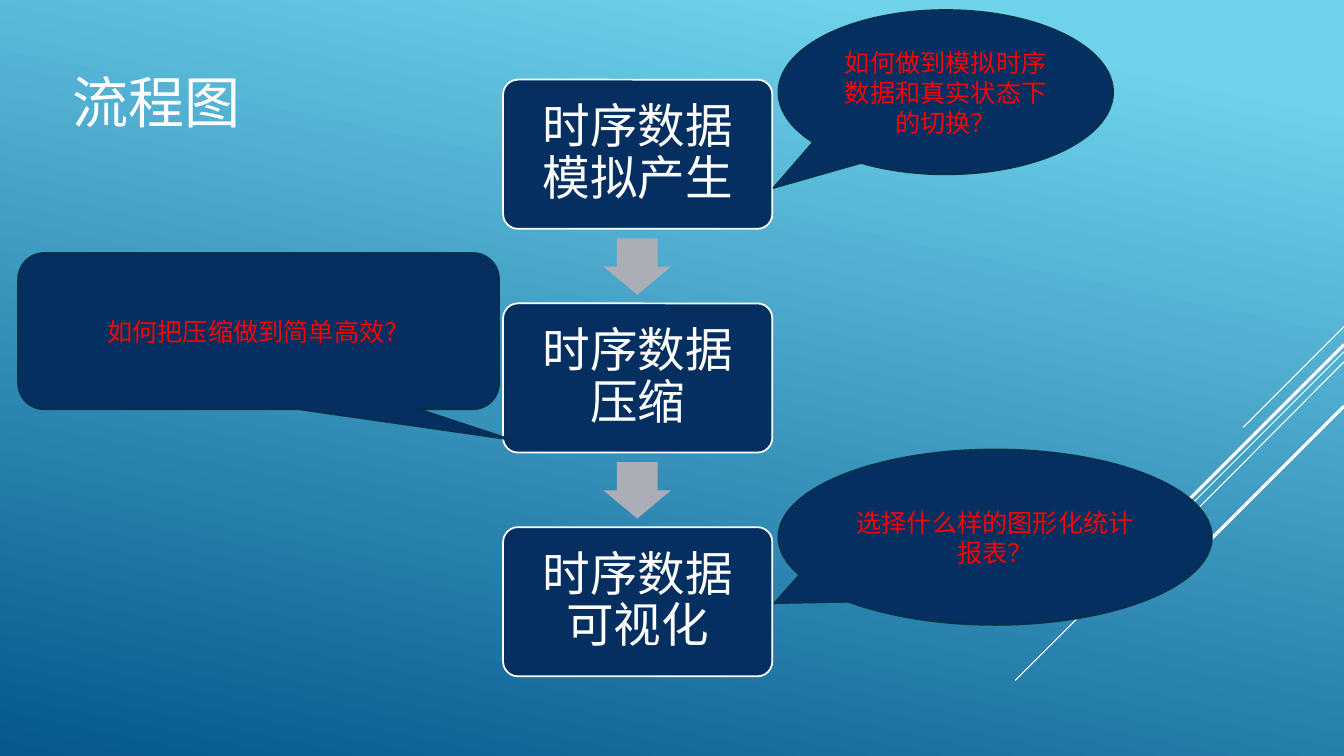
from dataclasses import dataclass

from pptx import Presentation
from pptx import util as u
from pptx.dml.color import RGBColor
from pptx.enum import shapes, text
from pptx.oxml.ns import qn
from lxml import etree

KIND = shapes.MSO_SHAPE


@dataclass(frozen=True)
class Theme:
    font: str = "Quicksand"
    sky: str = "6ED2EB"
    sea: str = "06588E"
    navy: str = "052F61"
    edge: str = "043148"
    gray: str = "ABADB7"
    white: str = "FFFFFF"
    red: str = "FF0000"
    head: int = 40
    step: int = 34
    note: int = 18


def rgb(code):
    return RGBColor.from_string(code)


class Deck:
    def __init__(self, theme):
        self.theme = theme
        self.show = Presentation()
        self.show.slide_width = u.Inches(13.33)
        self.show.slide_height = u.Inches(7.5)
        self.slide = self.show.slides.add_slide(self.show.slide_layouts[6])

    def back(self):
        fill = self.slide.background.fill
        fill.gradient()
        fill.gradient_angle = 258
        stops = zip(fill.gradient_stops, (0.1, 1), (self.theme.sky, self.theme.sea))
        for stop, place, color in stops:
            stop.position = place
            stop.color.rgb = rgb(color)

    def line(self, start, end, width):
        ends = [u.Inches(n) for n in (*start, *end)]
        line = self.slide.shapes.add_connector(shapes.MSO_CONNECTOR.STRAIGHT, *ends)
        line.line.color.rgb = rgb(self.theme.white)
        line.line.width = u.Pt(width)
        etree.SubElement(line._element.spPr, qn("a:effectLst"))

    def shape(self, kind, box, adj, fill, edge=None):
        shape = self.slide.shapes.add_shape(kind, *[u.Inches(n) for n in box])
        shape.shadow.inherit = False
        for i, value in enumerate(adj):
            shape.adjustments[i] = value
        shape.fill.solid()
        shape.fill.fore_color.rgb = rgb(fill)
        if edge:
            shape.line.color.rgb = rgb(edge)
            shape.line.width = u.Pt(1.25)
        else:
            shape.line.fill.background()
        return shape

    def label(self, shape, words, size, color, align=text.PP_ALIGN.CENTER):
        """Put one run of text in the shape and return its paragraph."""
        shape.text_frame.word_wrap = True
        para = shape.text_frame.paragraphs[0]
        para.alignment = align
        run = para.add_run()
        run.text = words
        run.font.name = self.theme.font
        run.font.size = u.Pt(size)
        run.font.color.rgb = rgb(color)
        return para

    def title(self, words, box):
        shape = self.slide.shapes.add_textbox(*[u.Inches(n) for n in box])
        self.label(shape, words, self.theme.head, self.theme.white, text.PP_ALIGN.LEFT)
        shape.text_frame.auto_size = text.MSO_AUTO_SIZE.SHAPE_TO_FIT_TEXT

    def step(self, words, box):
        look = self.theme
        shape = self.shape(KIND.ROUNDED_RECTANGLE, box, [0.1], look.navy, look.white)
        frame = shape.text_frame
        frame.vertical_anchor = text.MSO_ANCHOR.MIDDLE
        frame.margin_left = frame.margin_right = u.Inches(0.18)
        frame.margin_top = frame.margin_bottom = u.Inches(0.18)
        para = self.label(shape, words, look.step, look.white)
        para.line_spacing = 0.9

    def arrow(self, box):
        shape = self.shape(KIND.RIGHT_ARROW, box, [0.6, 0.5], self.theme.gray)
        shape.rotation = 90

    def note(self, kind, words, box, adj):
        look = self.theme
        shape = self.shape(kind, box, adj, look.navy, look.edge)
        shape.text_frame.vertical_anchor = text.MSO_ANCHOR.MIDDLE
        self.label(shape, words, look.note, look.red)


RAYS = [
    (3.24, (12.33, 4.24), 0.75),
    (3.49, (10.07, 6.75), 0.75),
    (3.59, (11.26, 5.67), 0.75),
    (3.42, (11.42, 5.33), 2.25),
    (4.03, (11.94, 5.42), 2.25),
]
STEPS = ["时序数据模拟产生", "时序数据压缩", "时序数据可视化"]
NOTES = [
    (KIND.OVAL_CALLOUT, "如何做到模拟时序数据和真实状态下的切换？",
     (7.72, 0.1, 3.32, 1.63), (-0.515, 0.583)),
    (KIND.ROUNDED_RECTANGULAR_CALLOUT, "如何把压缩做到简单高效？",
     (0.18, 2.51, 4.77, 1.55), (0.525, 0.695, 0.167)),
    (KIND.OVAL_CALLOUT, "选择什么样的图形化统计报表？",
     (7.72, 4.46, 4.3, 1.74), (-0.509, 0.376)),
]
TOP, PITCH = 0.79, 2.22


def main():
    deck = Deck(Theme())
    deck.back()
    for top, end, width in RAYS:
        deck.line((13.33, top), end, width)
    for i, words in enumerate(STEPS):
        y = TOP + i * PITCH
        if i:
            deck.arrow((6.04, y - 0.7, 0.56, 0.67))
        deck.step(words, (4.99, y, 2.67, 1.48))
    deck.title("流程图", (0.62, 0.62, 4.06, 0.77))
    for note in NOTES:
        deck.note(*note)
    deck.show.save("out.pptx")


if __name__ == "__main__":
    main()
